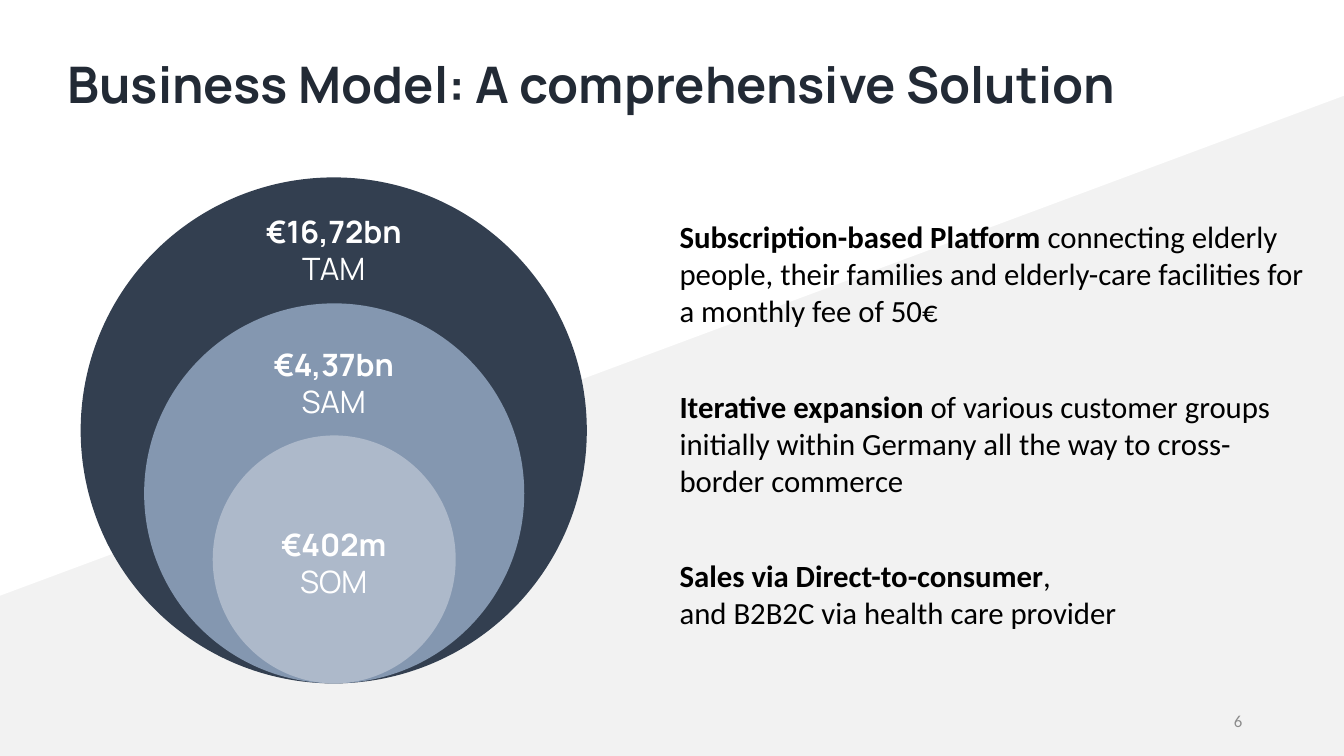
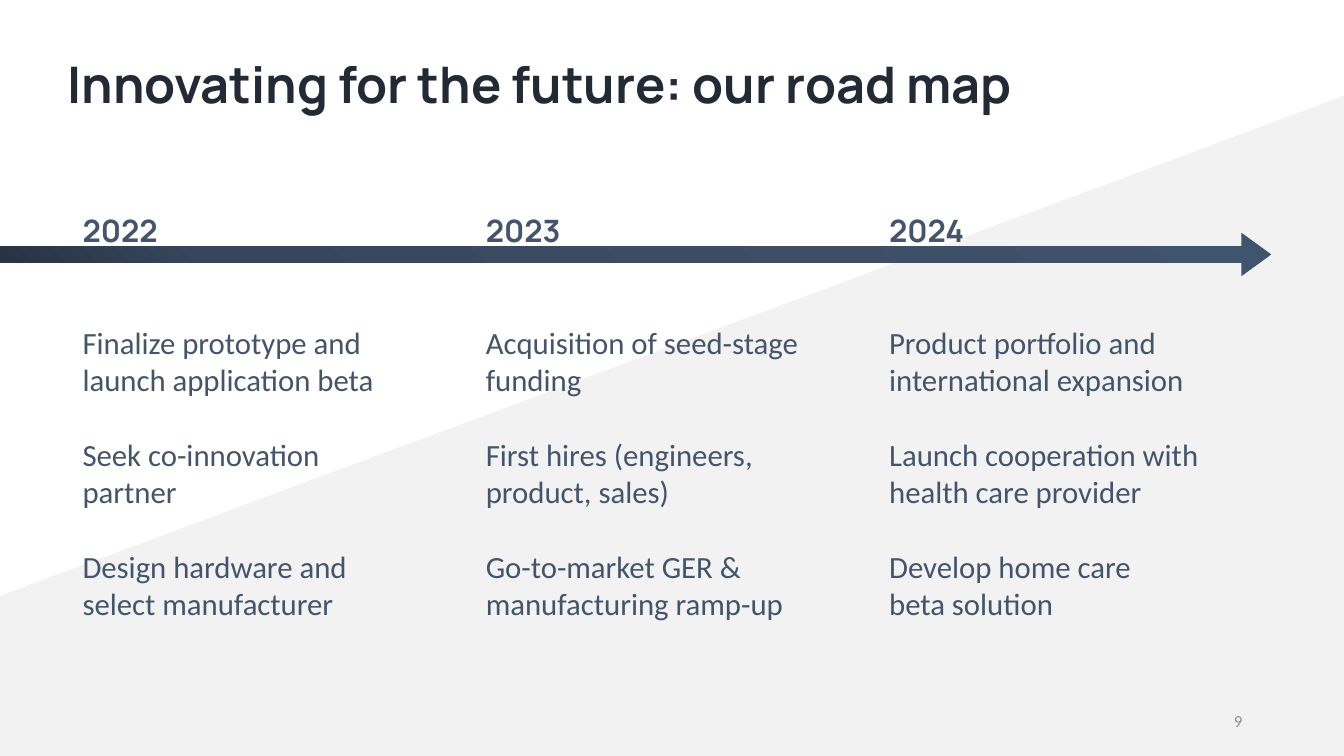
import dataclasses
from typing import Any

import pptx
import pptx.dml.color
import pptx.enum.shapes
import pptx.enum.text
import pptx.oxml
import pptx.oxml.ns
import pptx.util

RGBColor = pptx.dml.color.RGBColor
ALIGN = pptx.enum.text.PP_ALIGN
ANCHOR = pptx.enum.text.MSO_ANCHOR
PRESET = pptx.enum.shapes.MSO_SHAPE

EMU_PER_PX = 9144
SLIDE_WIDTH, SLIDE_HEIGHT = 1333, 750

WHITE = RGBColor(0xFF, 0xFF, 0xFF)
BLACK = RGBColor(0x00, 0x00, 0x00)
PALE_GREY = RGBColor(0xF2, 0xF2, 0xF2)
NUMBER_GREY = RGBColor(0x8C, 0x8C, 0x8C)
TITLE_NAVY = RGBColor(0x22, 0x2A, 0x35)
ROADMAP_BLUE = RGBColor(0x44, 0x54, 0x6A)
TAM_BLUE = RGBColor(0x33, 0x3F, 0x50)
SAM_BLUE = RGBColor(0x84, 0x97, 0xB0)
SOM_BLUE = RGBColor(0xAD, 0xB9, 0xCA)
ARROW_STOPS = (
    (0, RGBColor(0x27, 0x32, 0x40)),
    (17, RGBColor(0x37, 0x46, 0x5C)),
    (100, RGBColor(0x41, 0x54, 0x6D)),
)

HEADING_FONT = "Manrope"
TEXT_FONT = "Calibri"
TEXT_SIZE = 22


@dataclasses.dataclass(frozen=True)
class Style:
    font: str
    size: int
    color: RGBColor
    bold: bool = False


@dataclasses.dataclass(frozen=True)
class Market:
    value: str
    label: str
    width: int
    height: int
    label_top: int
    color: RGBColor


@dataclasses.dataclass(frozen=True)
class Statement:
    lead: str
    rest: str


@dataclasses.dataclass(frozen=True)
class Year:
    name: str
    goals: tuple[str, ...]


TITLE = Style(HEADING_FONT, 36, TITLE_NAVY, True)
NUMBER = Style(TEXT_FONT, 12, NUMBER_GREY)
MARKET_VALUE = Style(HEADING_FONT, TEXT_SIZE, WHITE, True)
MARKET_LABEL = Style(HEADING_FONT, TEXT_SIZE, WHITE)
LEAD = Style(TEXT_FONT, TEXT_SIZE, BLACK, True)
REST = Style(TEXT_FONT, TEXT_SIZE, BLACK)
YEAR = Style(HEADING_FONT, TEXT_SIZE, ROADMAP_BLUE, True)
GOAL = Style(TEXT_FONT, TEXT_SIZE, ROADMAP_BLUE)

CIRCLE_CENTRE, CIRCLE_BOTTOM = 331, 678
LABEL_WIDTH, LABEL_HEIGHT = 176, 74
MARKETS = (
    Market("€16,72bn", "TAM", 502, 502, 207, TAM_BLUE),
    Market("€4,37bn", "SAM", 377, 377, 339, SAM_BLUE),
    Market("€402m", "SOM", 241, 246, 518, SOM_BLUE),
)
STATEMENTS = (
    Statement(
        "Subscription-based Platform ",
        "connecting elderly people, their families and elderly-care "
        "facilities for a monthly fee of 50€",
    ),
    Statement(
        "Iterative expansion ",
        "of various customer groups initially within Germany all the way "
        "to cross-border commerce",
    ),
    Statement(
        "Sales via Direct-to-consumer",
        ",\nand B2B2C via health care provider",
    ),
)
YEAR_LEFT, YEAR_PITCH = 72, 400
YEARS = (
    Year("2022", (
        "Finalize prototype and\nlaunch application beta",
        "Seek co-innovation\npartner",
        "Design hardware and\nselect manufacturer",
    )),
    Year("2023", (
        "Acquisition of seed-stage\nfunding",
        "First hires (engineers,\nproduct, sales)",
        "Go-to-market GER &\nmanufacturing ramp-up",
    )),
    Year("2024", (
        "Product portfolio and\ninternational expansion",
        "Launch cooperation with\nhealth care provider",
        "Develop home care\nbeta solution",
    )),
)


def px(length: int) -> pptx.util.Emu:
    return pptx.util.Emu(length * EMU_PER_PX)


def place(shape: Any, left: int, top: int, width: int, height: int) -> None:
    shape.left, shape.top = px(left), px(top)
    shape.width, shape.height = px(width), px(height)


def add_runs(paragraph: Any, text: str, style: Style) -> None:
    for index, line in enumerate(text.split("\n")):
        if index:
            paragraph.add_line_break()
        run = paragraph.add_run()
        run.text = line
        run.font.name = style.font
        run.font.size = pptx.util.Pt(style.size)
        run.font.bold = style.bold
        run.font.color.rgb = style.color


def next_paragraph(frame: Any, gap: int = 0, align: Any = ALIGN.LEFT) -> Any:
    first = frame.paragraphs[0]
    paragraph = frame.add_paragraph() if first.runs else first
    paragraph.alignment = align
    paragraph.line_spacing = 1.0
    paragraph.space_before = pptx.util.Pt(gap if first.runs else 0)
    return paragraph


def add_text_frame(slide: Any, left: int, top: int, width: int, height: int) -> Any:
    box = slide.shapes.add_textbox(px(left), px(top), px(width), px(height))
    box.text_frame.word_wrap = True
    return box.text_frame


def add_preset(slide: Any, preset: Any, left: int, top: int, width: int, height: int) -> Any:
    shape = slide.shapes.add_shape(preset, px(left), px(top), px(width), px(height))
    shape.shadow.inherit = False
    shape.line.fill.background()
    return shape


def add_numbered_slide(deck: Any, layout: int, title: str, number: str) -> Any:
    slide = deck.slides.add_slide(deck.slide_layouts[layout])
    heading = slide.shapes.title
    place(heading, 57, 14, 1185, 145)
    heading.text_frame.vertical_anchor = ANCHOR.MIDDLE
    heading.text_frame.auto_size = pptx.enum.text.MSO_AUTO_SIZE.NONE
    paragraph = next_paragraph(heading.text_frame)
    paragraph.line_spacing = 0.9
    add_runs(paragraph, title, TITLE)

    footer = add_text_frame(slide, 942, 695, 300, 40)
    footer.vertical_anchor = ANCHOR.MIDDLE
    add_runs(next_paragraph(footer, align=ALIGN.RIGHT), number, NUMBER)
    return slide


def add_master_backdrop(deck: Any, slide: Any) -> None:
    master = deck.slide_master
    master.background.fill.solid()
    master.background.fill.fore_color.rgb = PALE_GREY
    outline = slide.shapes.build_freeform(0, 0, scale=EMU_PER_PX)
    outline.add_line_segments([(SLIDE_WIDTH, 0), (SLIDE_WIDTH, 95), (0, 591)], close=True)
    wedge = outline.convert_to_shape()
    wedge.shadow.inherit = False
    wedge.fill.solid()
    wedge.fill.fore_color.rgb = WHITE
    wedge.line.fill.background()
    wedge.element.nvSpPr.cNvPr.set("id", "20")
    master.shapes.element.insert(2, wedge.element)


def add_markets(slide: Any) -> None:
    for market in MARKETS:
        circle = add_preset(
            slide, PRESET.OVAL, CIRCLE_CENTRE - market.width // 2,
            CIRCLE_BOTTOM - market.height, market.width, market.height,
        )
        circle.fill.solid()
        circle.fill.fore_color.rgb = market.color
    for market in MARKETS:
        label = add_text_frame(
            slide, CIRCLE_CENTRE - LABEL_WIDTH // 2, market.label_top,
            LABEL_WIDTH, LABEL_HEIGHT,
        )
        label.margin_left = label.margin_right = px(7)
        label.margin_top = label.margin_bottom = px(4)
        add_runs(next_paragraph(label, align=ALIGN.CENTER), market.value, MARKET_VALUE)
        add_runs(next_paragraph(label, align=ALIGN.CENTER), market.label, MARKET_LABEL)


def add_statements(slide: Any) -> None:
    body = slide.placeholders[1]
    place(body, 664, 211, 639, 430)
    frame = body.text_frame
    frame.auto_size = pptx.enum.text.MSO_AUTO_SIZE.NONE
    frame.vertical_anchor = ANCHOR.TOP
    for statement in STATEMENTS:
        paragraph = next_paragraph(frame, gap=42)
        properties = paragraph._p.get_or_add_pPr()
        properties.set("marL", "0")
        properties.set("indent", "0")
        properties.append(pptx.oxml.parse_xml(
            f'<a:buNone {pptx.oxml.ns.nsdecls("a")}/>'
        ))
        add_runs(paragraph, statement.lead, LEAD)
        add_runs(paragraph, statement.rest, REST)


def add_timeline(slide: Any) -> None:
    arrow = add_preset(slide, PRESET.RIGHT_ARROW, 0, 231, 1261, 43)
    arrow.adjustments[0] = 0.39
    arrow.adjustments[1] = 0.69
    arrow.fill.background()
    stops = "".join(
        f'<a:gs pos="{percent * 1000}"><a:srgbClr val="{color}"/></a:gs>'
        for percent, color in ARROW_STOPS
    )
    gradient = pptx.oxml.parse_xml(
        f'<a:gradFill {pptx.oxml.ns.nsdecls("a")} rotWithShape="1">'
        f'<a:gsLst>{stops}</a:gsLst><a:path path="circle">'
        '<a:fillToRect t="100000" r="100000"/></a:path></a:gradFill>'
    )
    properties = arrow.element.spPr
    properties.replace(properties.find(pptx.oxml.ns.qn("a:noFill")), gradient)


def add_years(slide: Any) -> None:
    for index, year in enumerate(YEARS):
        column = add_text_frame(slide, YEAR_LEFT + index * YEAR_PITCH, 205, 351, 420)
        add_runs(next_paragraph(column), year.name, YEAR)
        for position, goal in enumerate(year.goals):
            gap = 27 if position else 54
            add_runs(next_paragraph(column, gap), goal, GOAL)


def main() -> None:
    deck = pptx.Presentation()
    deck.slide_width, deck.slide_height = px(SLIDE_WIDTH), px(SLIDE_HEIGHT)

    business = add_numbered_slide(deck, 1, "Business Model: A comprehensive Solution", "6")
    add_master_backdrop(deck, business)
    add_markets(business)
    add_statements(business)

    roadmap = add_numbered_slide(deck, 5, "Innovating for the future: our road map", "9")
    add_timeline(roadmap)
    add_years(roadmap)

    deck.save("out.pptx")


if __name__ == "__main__":
    main()
